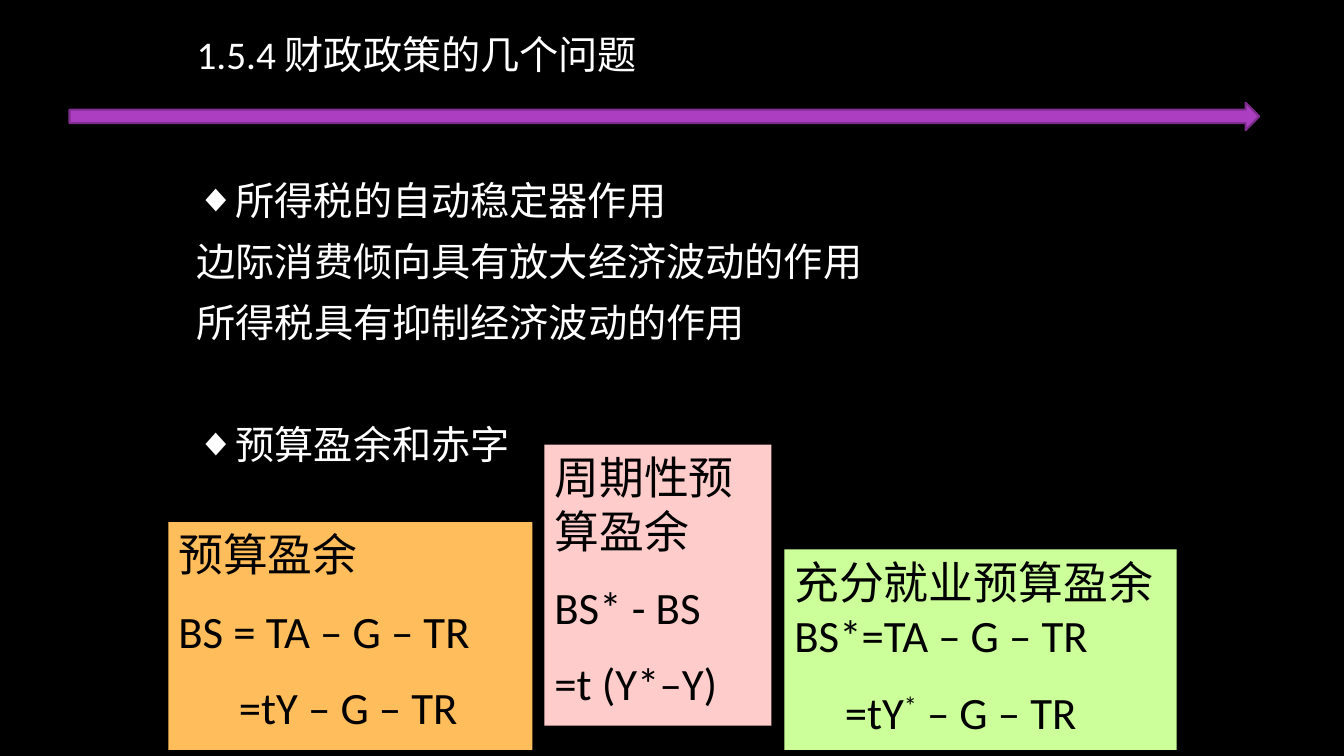
from lxml import etree
from pptx import Presentation
from pptx.dml.color import RGBColor
from pptx.enum.shapes import MSO_SHAPE
from pptx.enum.text import MSO_ANCHOR, MSO_AUTO_SIZE, PP_ALIGN
from pptx.oxml.ns import qn
from pptx.util import Inches, Pt

RECTANGLE = MSO_SHAPE.RECTANGLE
RIGHT_ARROW = MSO_SHAPE.RIGHT_ARROW
TOP, MIDDLE = MSO_ANCHOR.TOP, MSO_ANCHOR.MIDDLE
NO_FIT = MSO_AUTO_SIZE.NONE
LEFT = PP_ALIGN.LEFT

COLORS = {
    "background": "000000", "light": "FFFFFF", "dark": "000000",
    "orange": "FFBD5B", "green": "CCFF99", "pink": "FFCCCC",
    "arrow": "AC3EC1", "arrow_edge": "7F2E8F",
}
BULLET_INDENT = 0.31

# Text, bulleted, space before in points
TOPICS = [
    ("所得税的自动稳定器作用", True, 0),
    ("边际消费倾向具有放大经济波动的作用", False, 0),
    ("所得税具有抑制经济波动的作用", False, 0),
    ("预算盈余和赤字", True, 43.5),
]

# Position, fill, then lines of (runs, space before in points, indent in inches);
# a run is (text, raised)
FORMULA_BOXES = [
    ((1.67, 5.18, 3.61, 2.26), "orange", [
        ([("预算盈余", False)], 0, 0),
        ([("BS = TA – G – TR", False)], 16, 0),
        ([("=tY – G – TR", False)], 16, 0.6),
    ]),
    ((7.78, 5.45, 3.89, 1.99), "green", [
        ([("充分就业预算盈余", False)], 0, 0),
        ([("BS*=TA – G – TR", False)], 0, 0),
        ([("=tY", False), ("*", True), (" – G – TR", False)], 16, 0.5),
    ]),
    ((5.4, 4.41, 2.25, 2.79), "pink", [
        ([("周期性预算盈余", False)], 0, 0),
        ([("BS* - BS", False)], 16, 0),
        ([("=t (Y*–Y)", False)], 16, 0),
    ]),
]


class SlideBuilder:
    font_name = "Calibri"
    text_size = 28
    formula_size = 32

    def __init__(self, slide):
        self.slide = slide
        fill = slide.background.fill
        fill.solid()
        fill.fore_color.rgb = self.color("background")

    def color(self, name):
        return RGBColor.from_string(COLORS[name])

    def place(self, shape, position):
        shape.left, shape.top, shape.width, shape.height = map(Inches, position)

    def prepare_frame(self, shape, anchor):
        frame = shape.text_frame
        frame.word_wrap = True
        frame.auto_size = NO_FIT
        frame.vertical_anchor = anchor
        return frame

    def add_run(self, paragraph, text, size, color, raised=False):
        run = paragraph.add_run()
        run.text = text
        run.font.name = self.font_name
        run.font.size = Pt(size)
        run.font.color.rgb = self.color(color)
        if raised:
            run.font._element.set("baseline", "30000")

    def set_indent(self, paragraph, margin, first_line=0):
        properties = paragraph._p.get_or_add_pPr()
        properties.set("marL", str(Inches(margin)))
        properties.set("indent", str(Inches(first_line)))
        return properties

    def set_bullet(self, paragraph, bulleted):
        if not bulleted:
            properties = self.set_indent(paragraph, 0)
            etree.SubElement(properties, qn("a:buNone"))
            return
        properties = self.set_indent(paragraph, BULLET_INDENT, -BULLET_INDENT)
        bullet_color = etree.SubElement(properties, qn("a:buClr"))
        etree.SubElement(bullet_color, qn("a:srgbClr"), val=COLORS["light"])
        etree.SubElement(properties, qn("a:buChar"), char="◆")

    def add_title(self, text, position):
        title = self.slide.shapes.title
        self.place(title, position)
        paragraph = self.prepare_frame(title, MIDDLE).paragraphs[0]
        paragraph.alignment = LEFT
        self.add_run(paragraph, text, self.text_size, "light")

    def add_topics(self, topics, position):
        body = self.slide.placeholders[1]
        self.place(body, position)
        frame = self.prepare_frame(body, TOP)
        for index, (text, bulleted, space_before) in enumerate(topics):
            paragraph = frame.add_paragraph() if index else frame.paragraphs[0]
            self.set_bullet(paragraph, bulleted)
            paragraph.space_before = Pt(space_before)
            paragraph.space_after = Pt(10)
            self.add_run(paragraph, text, self.text_size, "light")

    def add_shape(self, kind, position, fill, line=None):
        shape = self.slide.shapes.add_shape(kind, *map(Inches, position))
        shape.shadow.inherit = False
        shape.fill.solid()
        shape.fill.fore_color.rgb = self.color(fill)
        if line:
            shape.line.color.rgb = self.color(line)
            shape.line.width = Pt(1.5)
        else:
            shape.line.fill.background()
        return shape

    def add_formula_box(self, position, fill, lines):
        box = self.add_shape(RECTANGLE, position, fill)
        frame = self.prepare_frame(box, TOP)
        for index, (runs, space_before, indent) in enumerate(lines):
            paragraph = frame.add_paragraph() if index else frame.paragraphs[0]
            self.set_indent(paragraph, indent)
            paragraph.alignment = LEFT
            paragraph.space_before = Pt(space_before)
            for text, raised in runs:
                self.add_run(paragraph, text, self.formula_size, "dark", raised)


def main():
    presentation = Presentation()
    presentation.slide_width = Inches(13.33)
    presentation.slide_height = Inches(7.5)
    slide = presentation.slides.add_slide(presentation.slide_layouts[1])
    builder = SlideBuilder(slide)
    builder.add_title("1.5.4 财政政策的几个问题", (1.85, 0.13, 9.48, 0.8))
    builder.add_topics(TOPICS, (1.85, 1.7, 9.48, 3.23))
    for position, fill, lines in FORMULA_BOXES:
        builder.add_formula_box(position, fill, lines)
    builder.add_shape(RIGHT_ARROW, (0.69, 1.02, 11.8, 0.27), "arrow", "arrow_edge")
    presentation.save("out.pptx")


if __name__ == "__main__":
    main()
